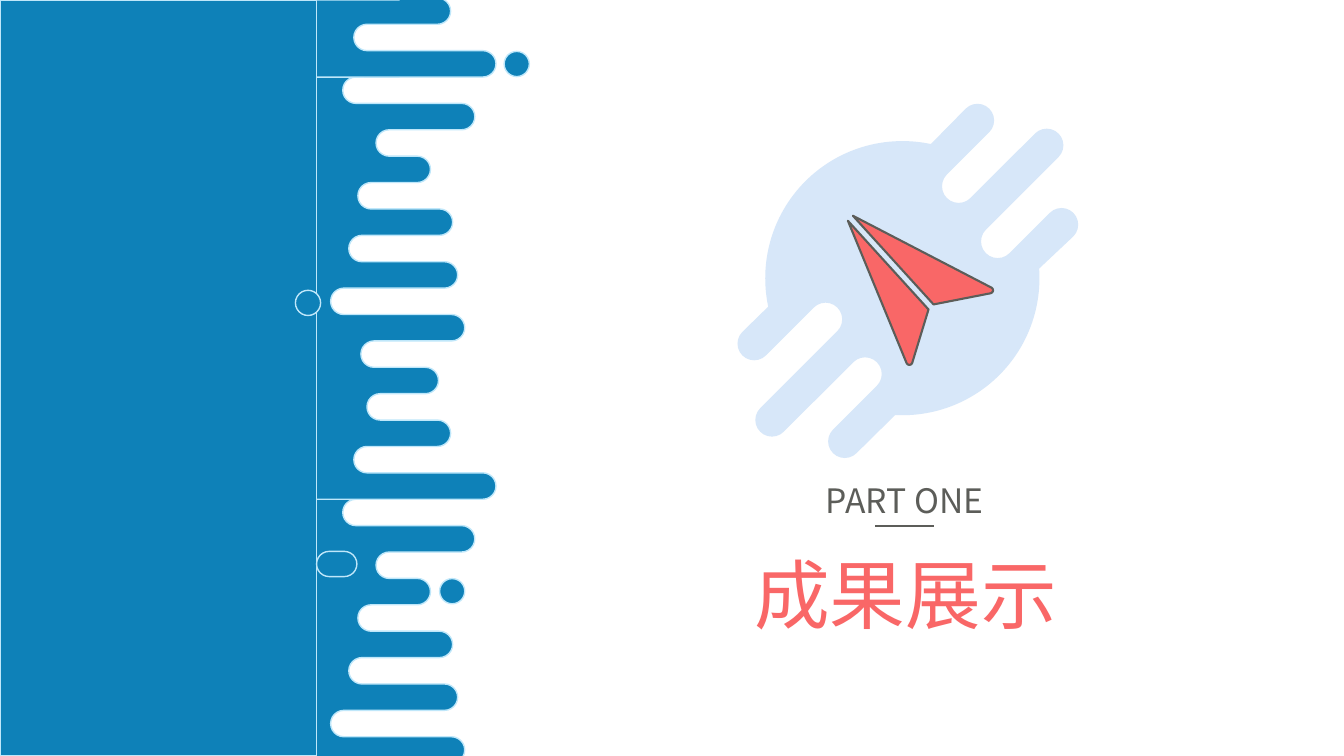
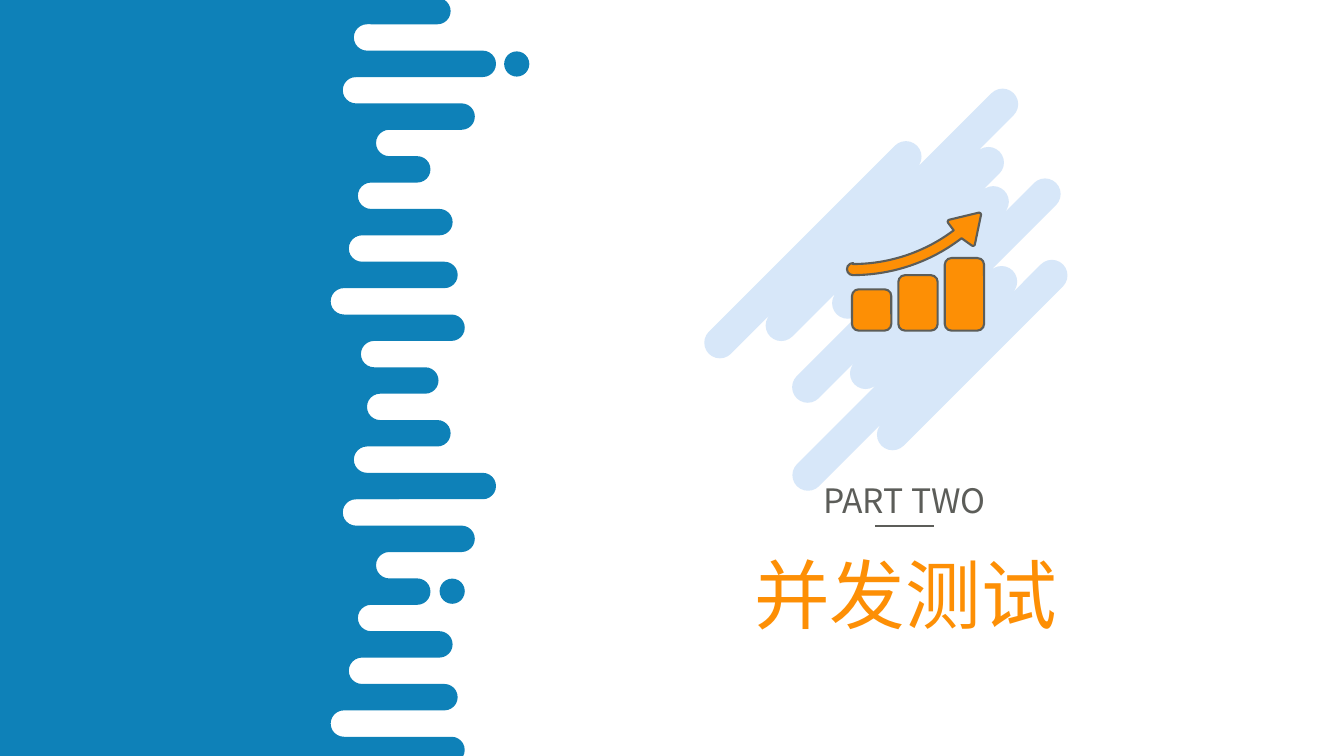
from math import ceil, cos, radians, sin, sqrt

from lxml.etree import Element, SubElement
from pptx import Presentation
from pptx.dml.color import RGBColor
from pptx.enum.shapes import MSO_CONNECTOR as Connector, MSO_SHAPE as Preset
from pptx.enum.text import MSO_ANCHOR as Anchor, MSO_AUTO_SIZE as AutoSize, PP_ALIGN as Align
from pptx.oxml.ns import qn
from pptx.util import Inches, Pt

WIDTH, HEIGHT = 13.33, 7.5
FONT = "Noto Sans CJK SC"
BLUE, PALE, GREY = "0E81B8", "D7E7F9", "5C5D59"

# The fringe: rows of equal height whose ends repeat every 16 rows,
# even rows are teeth and odd rows are gaps
ROW, FIRST_ROW = 0.2618, 0.11
REACH = [4.47, 3.51, 4.92, 3.40, 4.71, 3.73, 4.27, 3.55,
         4.49, 3.46, 4.54, 3.28, 4.61, 3.58, 4.35, 3.64]
FRINGE_PARTS = [(19, 29), (3, 19), (0, 3)]
PANEL_WIDTH, FRINGE_LEFT, FRINGE_STEP = 3.14, 3.05, 3.96
BAND_SHAPES = [
    (Preset.RECTANGLE, 0, 0, PANEL_WIDTH, HEIGHT),
    (Preset.OVAL, 5, 0.51, 0.25, 0.25),
    (Preset.OVAL, 4.36, 5.74, 0.25, 0.25),
    (Preset.ROUNDED_RECTANGLE, 3.14, 5.47, 0.4, 0.25),
    (Preset.OVAL, 2.93, 2.88, 0.25, 0.25),
]

# Outlines are lists of arcs: x, y, radius, start angle, sweep.
# A bare x, y is a sharp corner.
PLANE = [
    [(8.41, 2.19), (9.02, 3.59, 0.03, 160, -150), (9.21, 3.07)],
    [(8.46, 2.14), (9.26, 3.02), (9.82, 2.88, 0.03, 80, -140)],
]
ARROW = [[
    (9.71, 2.13, 0.02, -100, 110), (9.65, 2.42, 0.02, 10, 120),
    (8.46, 0.96, 1.77, 52.5, 37.5), (8.46, 2.67, 0.06, 90, 180),
    (8.46, 0.96, 1.66, 90, -37), (9.42, 2.2, 0.02, 135, 120),
]]

# Emblem stripes run at 45 degrees: "across" is x + y of the first stripe,
# tips are x - y of each end, with 1 for a tooth and -1 for a gap
SECTIONS = [
    dict(part="PART ONE", title="成果展示", accent="F96767", edge="BFE7FA",
         icon=PLANE, bars=[], across=10.89, pitch=0.467,
         upper=[(8.5, 1), (7.66, -1), (8.94, 1), (7.5, -1), (8.3, 1)],
         lower=[(4.07, 1), (5.02, -1), (3.49, 1), (4.87, -1), (4, 1)],
         right=[(8.95, 2.76, 1.36, -4, 97)], left=[(8.95, 2.76, 1.36, 168, 114)]),
    dict(part="PART TWO", title="并发测试", accent="FD8F05", edge=None,
         icon=ARROW, bars=[2.87, 2.73, 2.56], across=10.54, pitch=0.4375,
         upper=[(s, 1) for s in (7.43, 8.91, 8.19, 7.85, 8.44, 7.14, 7.7)],
         lower=[(s, 1) for s in (3.74, 4.52, 5.4, 4.17, 4.88, 3.3, 4.54)],
         right=[], left=[]),
]


def paint(fill, colour):
    """Make a fill solid in the hex colour, or empty it for None."""
    if colour is None:
        fill.background()
    else:
        fill.solid()
        fill.fore_color.rgb = RGBColor.from_string(colour)


def outline(page, contours):
    """Draw closed contours of corners and true arcs as one freeform."""
    pen, curves = None, []
    for arcs in contours:
        points = []
        for x, y, *curve in arcs:
            radius, start, sweep = curve or (0, 0, 0)
            pieces = ceil(abs(sweep) / 90)
            turn = sweep / max(pieces, 1)
            for piece in range(pieces + 1):
                angle = start + piece * turn
                points.append((Inches(x + radius * cos(radians(angle))),
                               Inches(y + radius * sin(radians(angle)))))
                curves.append((radius, angle - turn, turn) if piece else None)
        curves.append(None)  # the closing step
        if pen is None:
            pen = page.shapes.build_freeform(*points[0], scale=1.0)
        else:
            pen.move_to(*points[0])
        pen.add_line_segments(points[1:], close=True)
    shape = pen.convert_to_shape()
    trace = next(shape._element.iter(qn("a:path")))
    for step, curve in zip(list(trace), curves):
        if curve:
            radius, start, turn = curve
            size = str(Inches(radius))
            trace.replace(step, Element(
                qn("a:arcTo"), wR=size, hR=size,
                stAng=str(round(start % 360 * 60000)), swAng=str(round(turn * 60000))))
    return shape


deck = Presentation()
deck.slide_width, deck.slide_height = Inches(WIDTH), Inches(HEIGHT)

for section in SECTIONS:
    page = deck.slides.add_slide(deck.slide_layouts[0])

    # Blue band with its fringe
    band = []
    for first, last in FRINGE_PARTS:
        start = FIRST_ROW + (first - 0.5) * ROW
        top = max(start - ROW / 2, 0)
        arcs = [(FRINGE_LEFT, top), (FRINGE_STEP, top), (FRINGE_STEP, start)]
        for row in range(first, last):
            side = -1 if row % 2 else 1
            arcs.append((REACH[row % len(REACH)] - side * ROW / 2,
                         FIRST_ROW + row * ROW, ROW / 2, -90, 180 * side))
        arcs.append((FRINGE_LEFT, FIRST_ROW + (last - 0.5) * ROW))
        band.append(outline(page, [arcs]))
    for preset, *place in BAND_SHAPES:
        box = page.shapes.add_shape(preset, *map(Inches, place))
        if preset == Preset.ROUNDED_RECTANGLE:
            box.adjustments[0] = 0.5
        band.append(box)
    for box in band:
        paint(box.fill, BLUE)
        box.line.width = Pt(1)
        paint(box.line.fill, section["edge"])

    # Pale striped emblem, traced clockwise
    radius = section["pitch"] / sqrt(8)
    ends = {}
    for name, start in (("upper", -135), ("lower", 45)):
        ends[name] = []
        for index, (along, side) in enumerate(section[name]):
            across = section["across"] + index * section["pitch"]
            ends[name].append(((across + along) / 2, (across - along) / 2,
                               radius, start, 180 * side))
    emblem = outline(page, [ends["upper"] + section["right"]
                            + ends["lower"][::-1] + section["left"]])
    paint(emblem.fill, PALE)
    paint(emblem.line.fill, None)

    # Icon: an outline, with a row of bars where there are any
    icon = [outline(page, section["icon"])]
    for column, top in enumerate(section["bars"]):
        bar = page.shapes.add_shape(
            Preset.ROUNDED_RECTANGLE, Inches(8.45 + column * 0.46), Inches(top),
            Inches(0.39), Inches(3.28 - top))
        bar.adjustments[0] = 0.17
        icon.append(bar)
    for shape in icon:
        paint(shape.fill, section["accent"])
        paint(shape.line.fill, GREY)
        shape.line.width = Pt(1.5)

    # Title and part number
    title, part = page.placeholders
    for box, text, place, size, colour in (
            (title, section["title"], (7.07, 5.38, 3.82, 1.01), 54, section["accent"]),
            (part, section["part"], (7.72, 4.71, 2.5, 0.5), 24, GREY)):
        box.left, box.top, box.width, box.height = map(Inches, place)
        frame = box.text_frame
        para = frame.paragraphs[0]
        span = para.add_run()
        span.text = text
        formats = [
            (frame, dict(word_wrap=True, auto_size=AutoSize.NONE,
                         vertical_anchor=Anchor.MIDDLE)),
            (para, dict(alignment=Align.CENTER, space_before=Pt(0))),
            (span.font, dict(size=Pt(size), name=FONT, bold=False)),
        ]
        for target, values in formats:
            for key, value in values.items():
                setattr(target, key, value)
        paint(span.font.fill, colour)
        SubElement(span._r.get_or_add_rPr(), qn("a:ea"), typeface=FONT)

    # Divider between the two
    divider = page.shapes.add_connector(
        Connector.STRAIGHT, *map(Inches, (8.68, 5.22, 9.26, 5.22)))
    paint(divider.line.fill, GREY)
    divider.line.width = Pt(1.5)

    # No shadows
    for shape in page.shapes:
        if not shape.is_placeholder:
            SubElement(shape._element.spPr, qn("a:effectLst"))

deck.save("out.pptx")
